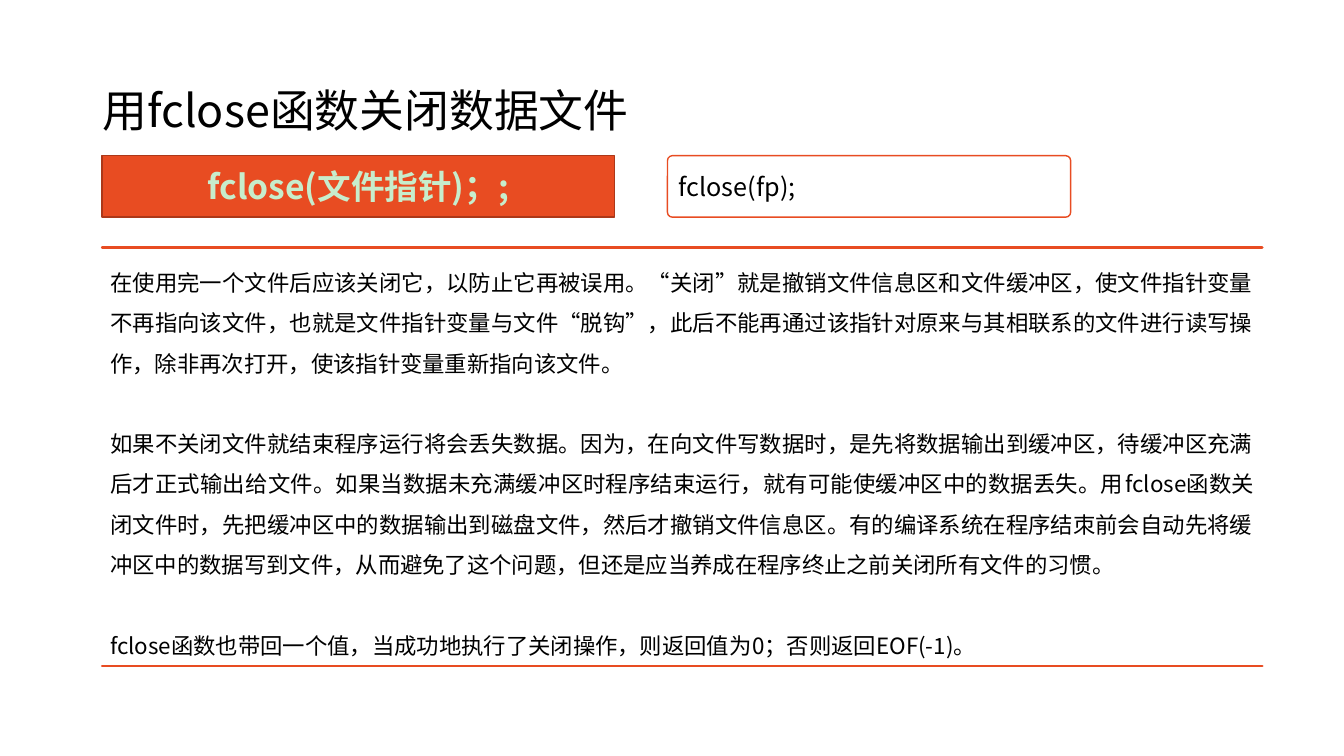
from lxml.etree import SubElement
from pptx import Presentation
from pptx.dml.color import RGBColor
from pptx.enum.shapes import MSO_SHAPE
from pptx.enum.text import MSO_ANCHOR, MSO_AUTO_SIZE, PP_ALIGN
from pptx.oxml.ns import qn
from pptx.util import Pt

FONT = "Noto Sans CJK SC"
BLACK = RGBColor(0x00, 0x00, 0x00)
WHITE = RGBColor(0xFF, 0xFF, 0xFF)
ORANGE = RGBColor(0xE8, 0x4C, 0x22)
DARK_ORANGE = RGBColor(0xAC, 0x38, 0x19)
PALE_GREEN = RGBColor(0xC7, 0xED, 0xCC)

LEFT, RIGHT = 73, 901.6
RULE_TOP, RULE_BOTTOM = 176.8, 475.8
BOX_TOP, BOX_HEIGHT = 111.2, 43.9
LINE_PITCH = Pt(28.8)

EXPLANATION = [
    "在使用完一个文件后应该关闭它，以防止它再被误用。“关闭”就是撤销文件信息区和文件缓冲区，"
    "使文件指针变量不再指向该文件，也就是文件指针变量与文件“脱钩”，此后不能再通过该指针对"
    "原来与其相联系的文件进行读写操作，除非再次打开，使该指针变量重新指向该文件。",
    "如果不关闭文件就结束程序运行将会丢失数据。因为，在向文件写数据时，是先将数据输出到缓冲区，"
    "待缓冲区充满后才正式输出给文件。如果当数据未充满缓冲区时程序结束运行，就有可能使缓冲区中的"
    "数据丢失。用fclose函数关闭文件时，先把缓冲区中的数据输出到磁盘文件，然后才撤销文件信息区。"
    "有的编译系统在程序结朿前会自动先将缓冲区中的数据写到文件，从而避免了这个问题，"
    "但还是应当养成在程序终止之前关闭所有文件的习惯。",
    "fclose函数也带回一个值，当成功地执行了关闭操作，则返回值为0；否则返回EOF(-1)。",
]


def apply_format(target, values):
    for name, value in values.items():
        setattr(target, name, value)


def write_paragraph(paragraph, text, size, color=BLACK, bold=False, **layout):
    run = paragraph.add_run()
    run.text = text
    apply_format(run.font, {"name": FONT, "size": Pt(size), "bold": bold})
    run.font.color.rgb = color
    SubElement(run.font._element, qn("a:ea"), typeface=FONT)
    apply_format(paragraph, layout)


def set_outline(shape, color, width):
    shape.shadow.inherit = False
    shape.line.color.rgb = color
    shape.line.width = Pt(width)


def add_title(slide, text):
    title = slide.shapes.title
    apply_format(title, {"left": Pt(66), "top": Pt(29), "width": Pt(828), "height": Pt(104)})
    apply_format(title.text_frame, {"auto_size": MSO_AUTO_SIZE.NONE,
                                    "vertical_anchor": MSO_ANCHOR.MIDDLE})
    write_paragraph(title.text_frame.paragraphs[0], text, 32,
                    alignment=PP_ALIGN.LEFT, line_spacing=0.9)


def add_code_box(slide, kind, left, width, fill, line):
    """Add a one-line box in the code row and return it."""
    box = slide.shapes.add_shape(kind, Pt(left), Pt(BOX_TOP), Pt(width), Pt(BOX_HEIGHT))
    set_outline(box, line, 1)
    box.fill.solid()
    box.fill.fore_color.rgb = fill
    box.text_frame.vertical_anchor = MSO_ANCHOR.MIDDLE
    return box


def add_ruled_panel(slide):
    """Add an open panel with a rule along its top and bottom edges."""
    builder = slide.shapes.build_freeform(Pt(LEFT), Pt(RULE_BOTTOM))
    for top in (RULE_BOTTOM, RULE_TOP):
        if top != RULE_BOTTOM:
            builder.move_to(Pt(LEFT), Pt(top))
        builder.add_line_segments([(Pt(RIGHT), Pt(top)), (Pt(LEFT), Pt(top))], close=True)
    panel = builder.convert_to_shape()
    set_outline(panel, ORANGE, 2)
    panel.fill.background()
    return panel


def add_explanation(slide):
    frame = add_ruled_panel(slide).text_frame
    apply_format(frame, {"word_wrap": True, "vertical_anchor": MSO_ANCHOR.TOP,
                         "margin_left": Pt(5.76), "margin_right": Pt(5.76),
                         "margin_top": Pt(5.76), "margin_bottom": Pt(5.76)})
    for index, text in enumerate(EXPLANATION):
        paragraph = frame.add_paragraph() if index else frame.paragraphs[0]
        write_paragraph(paragraph, text, 16, alignment=PP_ALIGN.JUSTIFY,
                        line_spacing=LINE_PITCH, space_before=LINE_PITCH if index else Pt(0))


def main():
    presentation = Presentation()
    apply_format(presentation, {"slide_width": Pt(960), "slide_height": Pt(540)})
    slide = presentation.slides.add_slide(presentation.slide_layouts[5])
    slide.background.fill.solid()
    slide.background.fill.fore_color.rgb = WHITE

    add_title(slide, "用fclose函数关闭数据文件")
    syntax = add_code_box(slide, MSO_SHAPE.RECTANGLE, LEFT, 365.8, ORANGE, DARK_ORANGE)
    write_paragraph(syntax.text_frame.paragraphs[0], "fclose(文件指针)；;", 24,
                    PALE_GREEN, True, alignment=PP_ALIGN.CENTER)
    add_explanation(slide)
    example = add_code_box(slide, MSO_SHAPE.ROUNDED_RECTANGLE, 476.8, 288, WHITE, ORANGE)
    example.adjustments[0] = 0.08
    write_paragraph(example.text_frame.paragraphs[0], "fclose(fp);", 18,
                    alignment=PP_ALIGN.LEFT)
    presentation.save("out.pptx")


if __name__ == "__main__":
    main()
